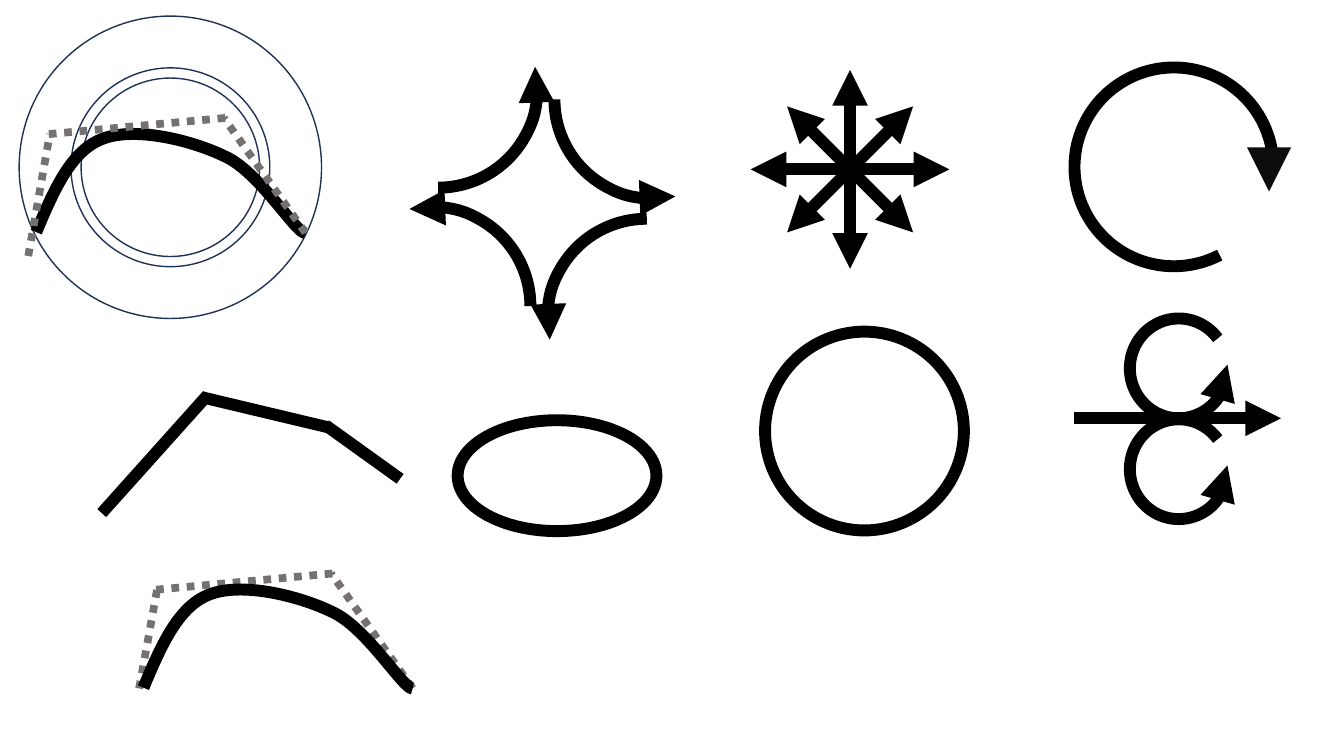
from lxml import etree
from pptx import Presentation
from pptx.dml.color import RGBColor
from pptx.enum.dml import MSO_LINE
from pptx.enum.shapes import MSO_CONNECTOR, MSO_SHAPE
from pptx.oxml.ns import qn
from pptx.util import Pt

ARC, OVAL = MSO_SHAPE.ARC, MSO_SHAPE.OVAL
STRAIGHT, DOTTED = MSO_CONNECTOR.STRAIGHT, MSO_LINE.ROUND_DOT

BLACK, NAVY, GREY, NEAR_BLACK = "000000", "1E3256", "767171", "0D0D0D"
THICK = 8.5
DIAMETER = 142

# Bézier points, relative to the top left of the curve's box
CURVE = [(0, 70), (12.2, 41), (24.5, 12.2), (46.8, 3.6), (69.8, -5.8),
         (110.9, 4.3), (134.6, 15.8), (159.1, 26.6), (185.8, 71.3), (192.2, 70.6)]
GUIDES = [((9, 0), (135.6, -11.6)), ((192.3, 70.5), (134, -11.6))]


def color(hex_string):
    return RGBColor.from_string(hex_string)


class Drawing:
    def __init__(self, slide):
        self.slide = slide
        self.shapes = slide.shapes

    def start_group(self):
        self.shapes = self.slide.shapes.add_group_shape().shapes

    def end_group(self):
        self.shapes = self.slide.shapes

    def style_line(self, shape, line_color, width, arrows=()):
        shape.line.color.rgb = color(line_color)
        shape.line.width = Pt(width)
        for end in arrows:
            etree.SubElement(shape.line._ln, qn(f"a:{end}End"), type="triangle")

    def outline(self, kind, left, top, width, height, line_color=BLACK,
                line_width=THICK, arrows=()):
        shape = self.shapes.add_shape(kind, Pt(left), Pt(top), Pt(width), Pt(height))
        shape.shadow.inherit = False
        shape.fill.background()
        self.style_line(shape, line_color, line_width, arrows)
        return shape

    def arc(self, left, top, width, height, start, end, rotation=0, arrows=()):
        """Draw an arc between two angles given in degrees."""
        shape = self.outline(ARC, left, top, width, height, arrows=arrows)
        shape.adjustments[0] = start * 0.6
        shape.adjustments[1] = end * 0.6
        shape.rotation = rotation

    def line(self, start, end, line_color=BLACK, width=THICK, arrows=(), dash=None):
        connector = self.shapes.add_connector(
            STRAIGHT, *(Pt(value) for value in (*start, *end)))
        connector.line.color.rgb = color(line_color)
        if dash is not None:
            connector.line.dash_style = dash
        self.style_line(connector, line_color, width, arrows)
        etree.SubElement(connector._element.spPr, qn("a:effectLst"))

    def curve(self, left, top):
        points = [(Pt(left + x), Pt(top + y)) for x, y in CURVE]
        builder = self.shapes.build_freeform(*points[0], scale=1.0)
        builder.add_line_segments(points[1:], close=False)
        shape = builder.convert_to_shape()
        shape.shadow.inherit = False
        shape.fill.background()
        self.style_line(shape, BLACK, THICK)
        outline_path = next(shape._element.iter(qn("a:path")))

        # The box starts at the visible crest, below the highest control point
        overhang = Pt(top) - shape.top
        shape.top += overhang
        shape.height -= overhang
        outline_path.set("h", str(shape.height))
        for point in outline_path.iter(qn("a:pt")):
            point.set("y", str(int(point.get("y")) - overhang))

        # Every three straight segments become one cubic Bézier
        segments = outline_path.findall(qn("a:lnTo"))
        for first in range(0, len(segments), 3):
            bezier = etree.SubElement(outline_path, qn("a:cubicBezTo"))
            for segment in segments[first:first + 3]:
                bezier.append(segment[0])
                outline_path.remove(segment)

    def guides(self, left, top, foot):
        """Draw the dotted control polygon, its first leg starting at foot."""
        for start, end in [(foot, (9.7, 0)), *GUIDES]:
            self.line((left + start[0], top + start[1]),
                      (left + end[0], top + end[1]), GREY, 5.5, dash=DOTTED)


def main():
    presentation = Presentation()
    presentation.slide_width, presentation.slide_height = Pt(960), Pt(540)
    slide = presentation.slides.add_slide(presentation.slide_layouts[6])
    drawing = Drawing(slide)

    # Concentric circles
    for diameter in (216, DIAMETER, 127.5):
        drawing.outline(OVAL, 121.7 - diameter / 2, 119.5 - diameter / 2,
                        diameter, diameter, NAVY, 1)

    # Turning arrow
    drawing.arc(767.5, 48.2, DIAMETER, DIAMETER, 62.55, 0)
    drawing.line((906.5, 131), (906.5, 136.8), NEAR_BLACK, 10.5, ["tail"])

    # Star of double arrows
    center_x, center_y = 607.2, 121
    for reach_x, reach_y in [(0, 71), (71, 0), (45, -45), (45, 45)]:
        drawing.line((center_x + reach_x, center_y + reach_y),
                     (center_x - reach_x, center_y - reach_y),
                     arrows=["head", "tail"])

    # Pinwheel of curved arrows
    drawing.start_group()
    for left, top, rotation in [(236.9, 147.6, 0), (241.9, -7.9, 90),
                                (391, 156.2, 270), (396, 0, 180)]:
        drawing.arc(left, top, DIAMETER, DIAMETER, 257.51, 0, rotation, ["head"])

    # Straight arrow between two loops
    drawing.start_group()
    drawing.line((767.5, 298.8), (915.1, 298.8), arrows=["tail"])
    for top in (227.5, 299.5):
        drawing.arc(807.1, top, 69.8, 71.3, 355.63, 322.43, arrows=["head"])
    drawing.end_group()

    # Ring and ellipse
    drawing.arc(546.5, 236.9, DIAMETER, DIAMETER, 62.55, 62.37)
    drawing.outline(OVAL, 326.9, 300.2, DIAMETER, 79.2)

    # Bent line
    drawing.start_group()
    for start, end in [((72.7, 366.5), (148.3, 282.2)),
                       ((234.7, 305.3), (144, 283.7)),
                       ((285.8, 342), (232.6, 303.8))]:
        drawing.line(start, end)
    drawing.end_group()

    # Curves with their control polygons
    drawing.curve(25.9, 95.8)
    drawing.guides(25.9, 95.8, (-5.7, 87.1))
    drawing.start_group()
    drawing.guides(102.5, 421.2, (-3.1, 70.6))
    drawing.curve(102.5, 421.2)

    presentation.save("out.pptx")


if __name__ == "__main__":
    main()
